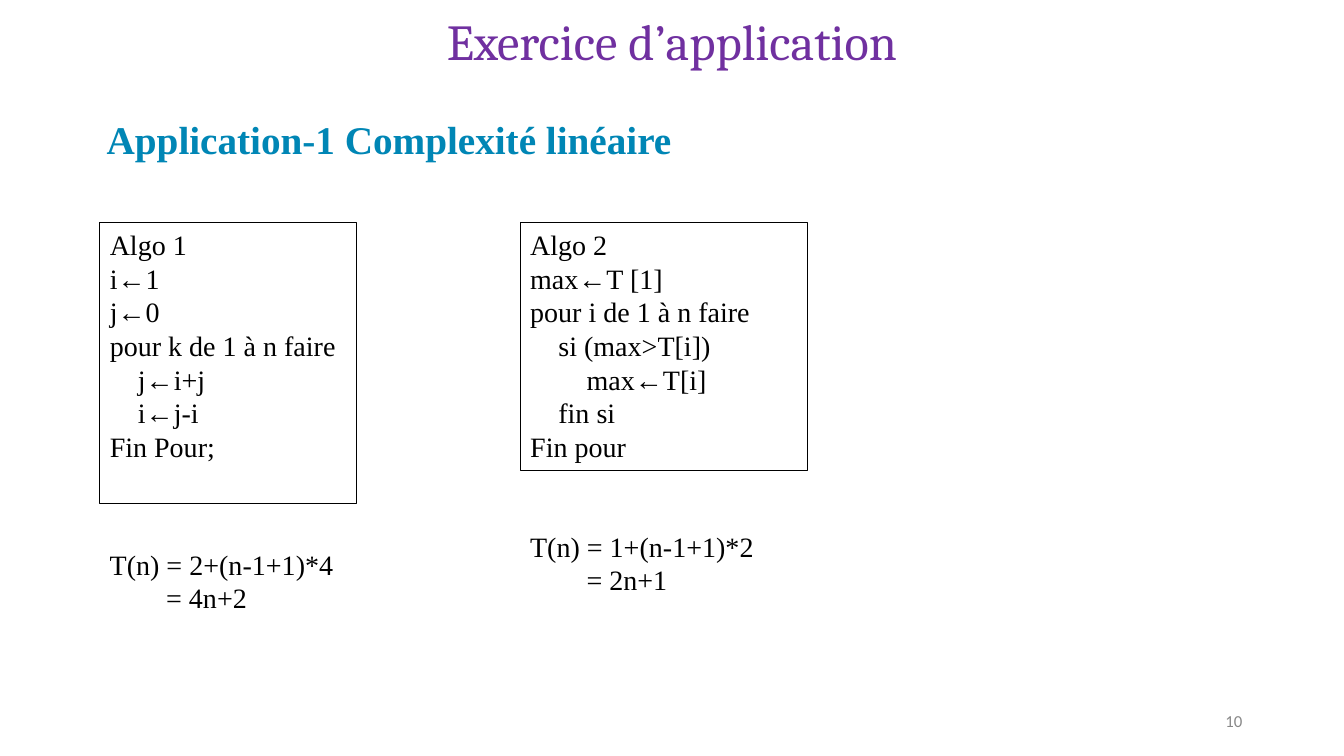
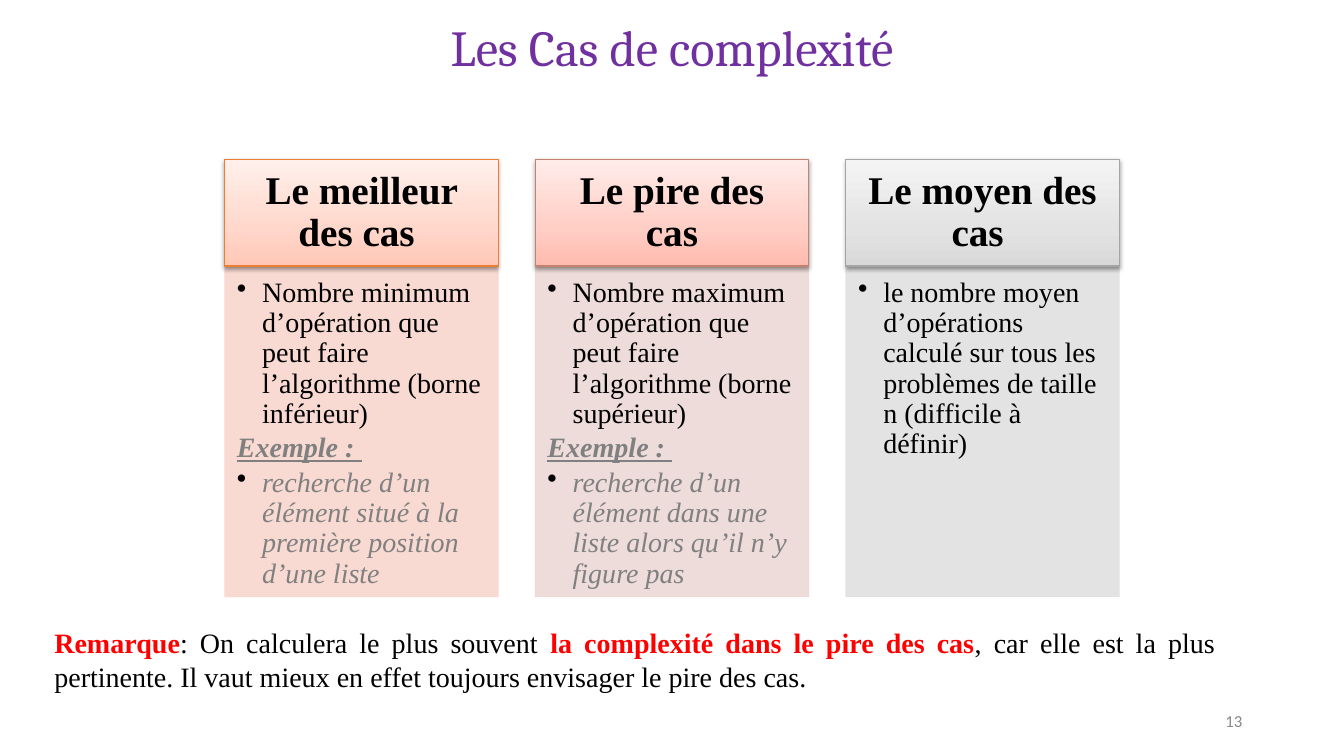
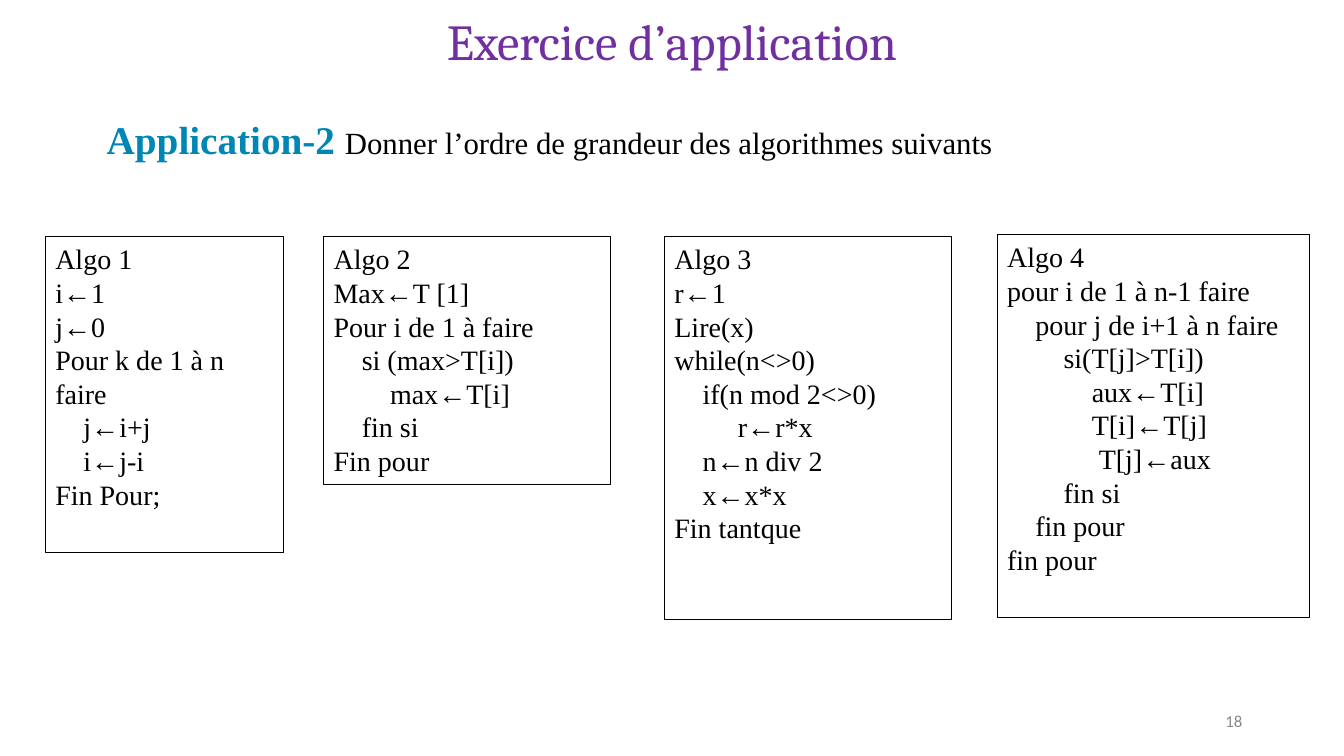
from lxml import etree
from pptx import Presentation
from pptx import util as u
from pptx.dml import color as dml
from pptx.enum import shapes, text
from pptx.oxml.ns import qn

PX = 9144
SERIF = "Times New Roman"
BLACK, PURPLE, BLUE = "000000", "7030A0", "0086B5"
RED, GREY, FOOTER_GREY = "FF0000", "808080", "888888"
MARGINS = (10, 5, 10, 5)
SPACE_WIDTH = 7
CARD_LEFT, CARD_WIDTH, CARD_PITCH = 223, 271, 308
HEADER_TOP, HEADER_HEIGHT, BODY_HEIGHT = 158, 106, 328

MAX_LOOP = [(4, "si (max>T[i])"), (8, "max←T[i]"), (4, "fin si"), (0, "Fin pour")]
SWAP_LOOP = [(4, "j←i+j"), (4, "i←j-i"), (0, "Fin Pour;")]
START = [(0, "Algo 1"), (0, "i←1"), (0, "j←0")]

LINEAR_ALGORITHMS = [
    ((99, 221, 255, 279), START + [(0, "pour k de 1 à n faire")] + SWAP_LOOP),
    ((516, 221, 285, 246),
     [(0, "Algo 2"), (0, "max←T [1]"), (0, "pour i de 1 à n faire")] + MAX_LOOP),
]
COSTS = [
    ((99, 538, 297, 77), [(0, "T(n) = 2+(n-1+1)*4"), (8, "= 4n+2")]),
    ((516, 520, 297, 77), [(0, "T(n) = 1+(n-1+1)*2"), (8, "= 2n+1")]),
]
ORDER_ALGORITHMS = [
    ((45, 235, 236, 313), START + [(0, "Pour k de 1 à n faire")] + SWAP_LOOP),
    ((321, 235, 285, 246),
     [(0, "Algo 2"), (0, "Max←T [1]"), (0, "Pour i de 1 à faire")] + MAX_LOOP),
    ((659, 235, 285, 380),
     [(0, "Algo 3"), (0, "r←1"), (0, "Lire(x)"), (0, "while(n<>0)"),
      (4, "if(n mod 2<>0)"), (9, "r←r*x"), (4, "n←n div 2"), (4, "x←x*x"),
      (0, "Fin tantque")]),
    ((989, 233, 310, 380),
     [(0, "Algo 4"), (0, "pour i de 1 à n-1 faire"),
      (4, "pour j de i+1 à n faire"), (8, "si(T[j]>T[i])"), (12, "aux←T[i]"),
      (12, "T[i]←T[j]"), (13, "T[j]←aux"), (8, "fin si"), (4, "fin pour"),
      (0, "fin pour")]),
]
CASES = [
    ("Le meilleur des cas ", ("FFC7B6", "FFD7CB", "FFF0EB"), "ED7D31", "F8D7CE",
     "Nombre minimum d’opération que peut faire l’algorithme (borne inférieur)",
     "recherche d’un élément situé à la première position d’une liste"),
    ("Le pire des cas", ("FFBAAE", "FFCEC5", "FFECE9"), "C48170", "EDD9D7",
     "Nombre maximum d’opération que peut faire l’algorithme (borne supérieur)",
     "recherche d’un élément dans une liste alors qu’il n’y figure pas"),
    ("Le moyen des cas ", ("D8D8D8", "E3E3E3", "F4F4F4"), "A5A5A5", "E1E1E1",
     "le nombre moyen d’opérations calculé sur tous les problèmes de taille n "
     "(difficile à définir)", None),
]


def px(length):
    """Turn pixels into EMU."""
    return u.Emu(length * PX)


def rgb(value):
    """Turn a hex string into a colour."""
    return dml.RGBColor.from_string(value)


def add_run(paragraph, content, size=20, color=BLACK, font=SERIF,
            bold=False, italic=False, underline=False):
    """Add one formatted run to a paragraph."""
    run = paragraph.add_run()
    run.text = content
    run.font.size, run.font.name = u.Pt(size), font
    run.font.bold, run.font.italic, run.font.underline = bold, italic, underline
    run.font.color.rgb = rgb(color)


def set_frame(shape, margins=MARGINS, anchor=text.MSO_ANCHOR.TOP):
    """Prepare the text frame of a shape and return it."""
    frame = shape.text_frame
    frame.auto_size = text.MSO_AUTO_SIZE.NONE
    frame.word_wrap = True
    frame.vertical_anchor = anchor
    (frame.margin_left, frame.margin_top,
     frame.margin_right, frame.margin_bottom) = map(px, margins)
    return frame


def next_paragraph(frame, align=text.PP_ALIGN.LEFT):
    """Return the first paragraph while it is empty, else a new one."""
    first = frame.paragraphs[0]
    paragraph = frame.add_paragraph() if first.runs else first
    paragraph.alignment = align
    return paragraph


def indent(paragraph, left, first=0):
    """Set the left margin and first-line indent of a paragraph."""
    properties = paragraph._p.get_or_add_pPr()
    properties.set("marL", str(px(left)))
    properties.set("indent", str(px(first)))
    return properties


def add_text(slide, box, align=text.PP_ALIGN.LEFT, anchor=text.MSO_ANCHOR.TOP):
    """Add a text box and return its paragraph."""
    shape = slide.shapes.add_textbox(*map(px, box))
    return next_paragraph(set_frame(shape, anchor=anchor), align)


def add_rectangle(slide, box, line):
    """Add an unfilled rectangle with a thin line and no shadow."""
    shape = slide.shapes.add_shape(shapes.MSO_SHAPE.RECTANGLE, *map(px, box))
    shape.shadow.inherit = False
    shape.fill.background()
    shape.line.color.rgb = rgb(line)
    shape.line.width = u.Pt(0.75)
    return shape


def write_lines(shape, lines):
    """Write lines, each indented by a number of space widths."""
    frame = set_frame(shape)
    for spaces, content in lines:
        paragraph = next_paragraph(frame)
        indent(paragraph, spaces * SPACE_WIDTH)
        add_run(paragraph, content)


def add_algorithms(slide, algorithms):
    """Add the framed algorithms of a slide."""
    for box, lines in algorithms:
        write_lines(add_rectangle(slide, box, BLACK), lines)


def add_color(parent, value, alpha=None):
    """Append a colour element, with optional opacity in percent."""
    element = etree.SubElement(parent, qn("a:srgbClr"), val=value)
    if alpha:
        etree.SubElement(element, qn("a:alpha"), val=str(alpha * 1000))


def set_gradient(shape, colors):
    """Fill a shape with a three-stop gradient from bottom to top."""
    shape.fill.gradient()
    shape.fill.gradient_angle = 90
    stops = next(shape.element.spPr.iter(qn("a:gsLst")))
    for stop in list(stops):
        stops.remove(stop)
    for position, value in zip((0, 35, 100), colors):
        stop = etree.SubElement(stops, qn("a:gs"), pos=str(position * 1000))
        add_color(stop, value)


def set_shadow(shape):
    """Give a shape a soft shadow below it."""
    effects = shape.element.spPr.find(qn("a:effectLst"))
    shadow = etree.SubElement(effects, qn("a:outerShdw"), blurRad="40000",
                              dist="20000", dir="5400000", rotWithShape="0")
    add_color(shadow, BLACK, 38)


def add_card_line(frame, content, bullet=True, **style):
    """Add a hanging paragraph to a card, with or without a bullet."""
    paragraph = next_paragraph(frame)
    paragraph.line_spacing = 0.9
    paragraph.space_after = u.Pt(3)
    properties = indent(paragraph, 25, -25)
    if bullet:
        add_color(etree.SubElement(properties, qn("a:buClr")), BLACK)
        etree.SubElement(properties, qn("a:buChar"), char="•")
    add_run(paragraph, content, **style)


def add_card(slide, left, case):
    """Add a card: gradient header above a tinted body."""
    heading, gradient, line, tint, definition, example = case
    body = add_rectangle(
        slide, (left, HEADER_TOP + HEADER_HEIGHT, CARD_WIDTH, BODY_HEIGHT), tint)
    body.fill.solid()
    body.fill.fore_color.rgb = rgb(tint)
    for element in body.element.spPr.iter(qn("a:srgbClr")):
        etree.SubElement(element, qn("a:alpha"), val="90000")
    frame = set_frame(body, (12, 12, 16, 17))
    add_card_line(frame, definition)
    if example:
        add_card_line(frame, "Exemple : ", bullet=False, color=GREY,
                      bold=True, italic=True, underline=True)
        add_card_line(frame, example, color=GREY, italic=True)

    header = add_rectangle(slide, (left, HEADER_TOP, CARD_WIDTH, HEADER_HEIGHT), line)
    set_gradient(header, gradient)
    set_shadow(header)
    frame = set_frame(header, (22, 12, 22, 12), text.MSO_ANCHOR.MIDDLE)
    paragraph = next_paragraph(frame, text.PP_ALIGN.CENTER)
    paragraph.line_spacing = 0.9
    add_run(paragraph, heading, size=28, bold=True)


def add_slide(presentation, title, number, title_top=5):
    """Add a slide with its title and page number."""
    slide = presentation.slides.add_slide(presentation.slide_layouts[5])
    shape = slide.shapes.title
    shape.left, shape.top, shape.width, shape.height = map(
        px, (226, title_top, 881, 71))
    paragraph = next_paragraph(set_frame(shape), text.PP_ALIGN.CENTER)
    add_run(paragraph, title, size=36, color=PURPLE, font="Cambria")
    paragraph = add_text(slide, (942, 695, 300, 40), text.PP_ALIGN.RIGHT,
                         text.MSO_ANCHOR.MIDDLE)
    add_run(paragraph, number, size=12, color=FOOTER_GREY, font="Calibri")
    return slide


def add_subtitle(slide, content):
    """Add the blue subtitle and return its paragraph."""
    paragraph = add_text(slide, (96, 109, 1127, 57))
    add_run(paragraph, content, size=28, color=BLUE, bold=True)
    return paragraph


def build_linear(presentation):
    """Build the exercise on linear complexity."""
    slide = add_slide(presentation, "Exercice d’application", "10")
    add_subtitle(slide, "Application-1 Complexité linéaire")
    add_algorithms(slide, LINEAR_ALGORITHMS)
    for box, lines in COSTS:
        write_lines(slide.shapes.add_textbox(*map(px, box)), lines)


def build_cases(presentation):
    """Build the slide of the three complexity cases."""
    slide = add_slide(presentation, "Les Cas de complexité", "13", title_top=11)
    for index, case in enumerate(CASES):
        add_card(slide, CARD_LEFT + index * CARD_PITCH, case)
    remark = add_text(slide, (44, 616, 1171, 77), text.PP_ALIGN.JUSTIFY)
    add_run(remark, "Remarque", color=RED, bold=True)
    add_run(remark, ": On calculera le plus souvent ")
    add_run(remark, "la complexité dans le pire des cas", color=RED, bold=True)
    add_run(remark, ", car elle est la plus pertinente. Il vaut mieux en effet "
                    "toujours envisager le pire des cas.")


def build_orders(presentation):
    """Build the exercise on orders of magnitude."""
    slide = add_slide(presentation, "Exercice d’application", "18")
    subtitle = add_subtitle(slide, "Application-2 ")
    add_run(subtitle, "Donner l’ordre de grandeur des algorithmes suivants", size=22)
    add_algorithms(slide, ORDER_ALGORITHMS)


def main():
    """Build and save the presentation."""
    presentation = Presentation()
    presentation.slide_width, presentation.slide_height = px(1333), px(750)
    build_linear(presentation)
    build_cases(presentation)
    build_orders(presentation)
    presentation.save("out.pptx")


if __name__ == "__main__":
    main()
